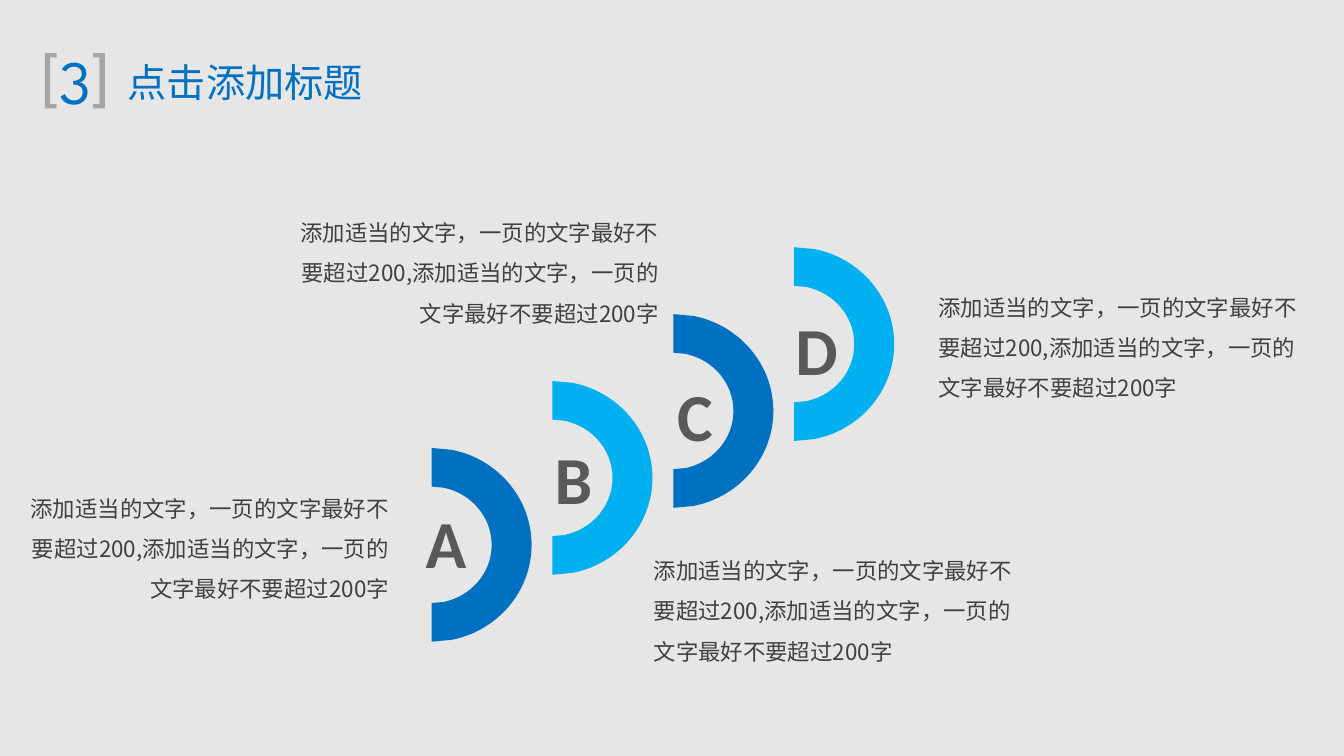
from lxml.etree import SubElement
from pptx import Presentation
from pptx.dml.color import RGBColor
from pptx.enum.text import MSO_ANCHOR, MSO_AUTO_SIZE, PP_ALIGN
from pptx.oxml.ns import qn
from pptx.util import Pt

BACKGROUND = RGBColor(0xE7, 0xE6, 0xE6)
BLUE = RGBColor(0x00, 0x70, 0xC0)
SKY = RGBColor(0x00, 0xB0, 0xF0)
BRACKET_GREY = RGBColor(0xA6, 0xA6, 0xA6)
LETTER_GREY = RGBColor(0x59, 0x59, 0x59)
BODY_GREY = RGBColor(0x40, 0x40, 0x40)

HEADING_FONT = "League Spartan"
BODY_FONT = "Noto Sans CJK SC"
LETTER_FONT = "Calibri"

TITLE = "点击添加标题"
DESCRIPTION = "添加适当的文字，一页的文字最好不要超过200,添加适当的文字，一页的文字最好不要超过200字"

ARC_LEFT, ARC_MIDDLE = 231.2, 291.9
STEP_X, STEP_Y = 64.75, -35.85
OUTER_QUARTER = [(0, -51.9), (10.8, -50.9), (35.3, -46.1), (53.6, -25), (53.6, 0)]
INNER_QUARTER = [(0, -31.2), (6.5, -30.6), (21.1, -27.6), (32.2, -15.1), (32.2, 0)]

STEPS = [
    ("A", BLUE, (221, 264.8, 36.7), (8.9, 258.5), PP_ALIGN.RIGHT),
    ("B", SKY, (290, 230.8, 34.6), (343.1, 291.9), PP_ALIGN.LEFT),
    ("C", BLUE, (355.7, 196.9, 34.6), (153.4, 110.9), PP_ALIGN.RIGHT),
    ("D", SKY, (419, 161.6, 37.4), (495.7, 150.9), PP_ALIGN.LEFT),
]


def add_text(slide, text, box, font_name, size, color, align,
             anchor=MSO_ANCHOR.MIDDLE, wrap=False, bold=False, spacing=None):
    frame = slide.shapes.add_textbox(*map(Pt, box)).text_frame
    frame.word_wrap = wrap
    frame.auto_size = MSO_AUTO_SIZE.NONE if wrap else MSO_AUTO_SIZE.SHAPE_TO_FIT_TEXT
    frame.vertical_anchor = anchor
    paragraph = frame.paragraphs[0]
    paragraph.alignment = align
    paragraph.line_spacing = spacing
    run = paragraph.add_run()
    run.text = text
    run.font.size = Pt(size)
    run.font.bold = bold
    run.font.color.rgb = color
    run.font.name = font_name
    SubElement(run.font._element, qn("a:ea"), typeface=font_name)


def add_outline(slide, points, color):
    start, *rest = [(Pt(x), Pt(y)) for x, y in points]
    builder = slide.shapes.build_freeform(*start)
    builder.add_line_segments(rest, close=True)
    outline = builder.convert_to_shape()
    outline.shadow.inherit = False
    outline.fill.solid()
    outline.fill.fore_color.rgb = color
    outline.line.fill.background()
    return outline


def add_bracket(slide, outer, direction):
    tip = outer + 6.3 * direction
    stem = outer + 2.9 * direction
    top, bottom, bar = 28.5, 58.1, 2.3
    add_outline(slide, [
        (outer, top), (tip, top), (tip, top + bar), (stem, top + bar),
        (stem, bottom - bar), (tip, bottom - bar), (tip, bottom), (outer, bottom),
    ], BRACKET_GREY)


def half_circle(quarter):
    return quarter + [(x, -y) for x, y in quarter[-2::-1]]


def bend(outline, curve_starts):
    segments = list(outline._element.iter(qn("a:lnTo")))
    for start in curve_starts:
        first, second, last = segments[start:start + 3]
        first.tag = qn("a:cubicBezTo")
        for segment in (second, last):
            first.append(segment[0])
            segment.getparent().remove(segment)


def add_half_ring(slide, left, middle, color):
    ring = half_circle(OUTER_QUARTER) + half_circle(INNER_QUARTER)[::-1]
    outline = add_outline(slide, [(left + x, middle + y) for x, y in ring], color)
    bend(outline, [1, 4, 10, 13])


def add_step(slide, index, letter, color, letter_box, text_corner, align):
    add_half_ring(slide, ARC_LEFT + index * STEP_X, ARC_MIDDLE + index * STEP_Y, color)
    left, top, width = letter_box
    add_text(slide, letter, (left, top, width, 51.1), LETTER_FONT, 36, LETTER_GREY,
             PP_ALIGN.JUSTIFY, anchor=MSO_ANCHOR.TOP, bold=True)
    add_text(slide, DESCRIPTION, (*text_corner, 206.6, 63.4), BODY_FONT, 12, BODY_GREY,
             align, wrap=True, spacing=1.5)


def add_heading(slide):
    add_text(slide, TITLE, (60.5, 27.7, 141.8, 32.4), HEADING_FONT, 21, BLUE,
             PP_ALIGN.CENTER)
    add_text(slide, "3", (23.3, 19.8, 33.8, 46.1), HEADING_FONT, 33, BLUE,
             PP_ALIGN.CENTER)
    add_bracket(slide, 24, 1)
    add_bracket(slide, 56.2, -1)


def main():
    deck = Presentation()
    deck.slide_width, deck.slide_height = Pt(720), Pt(405)
    slide = deck.slides.add_slide(deck.slide_layouts[6])
    slide.background.fill.solid()
    slide.background.fill.fore_color.rgb = BACKGROUND
    add_heading(slide)
    for index, step in enumerate(STEPS):
        add_step(slide, index, *step)
    deck.save("out.pptx")


if __name__ == "__main__":
    main()
